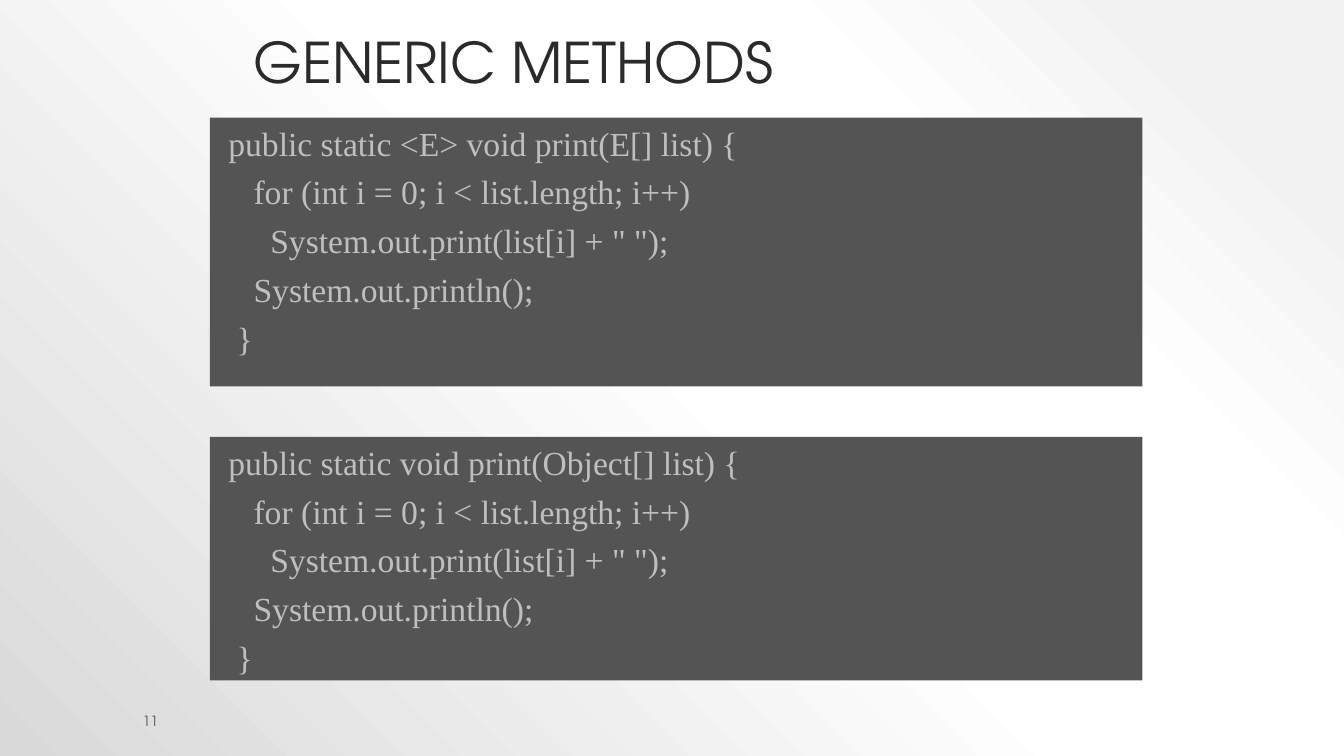
from lxml import etree
from pptx import Presentation
from pptx.dml.color import RGBColor
from pptx.enum.shapes import MSO_SHAPE as Preset
from pptx.enum.text import MSO_ANCHOR as Anchor, PP_ALIGN as Align
from pptx.oxml.ns import qn
from pptx.util import Inches, Pt

COLUMNS, ROWS = 160, 90
COLORS = {"title": "2A2A2A", "panel": "545454", "code": "BFBFBF", "number": "545454"}
BACKDROP = [(10, "F2F2F2"), (28, "FFFFFF"), (48, "FFFFFF"), (100, "D9D9D9")]
DISPLAY, SERIF = "TeX Gyre Adventor", "Times New Roman"
CODE_SIZE = 24
SPACE_WIDTH = CODE_SIZE / 4

LOOP = [
    (4, "for (int i = 0; i < list.length; i++)"),
    (6, 'System.out.print(list[i] + " ");'),
    (4, "System.out.println();"),
    (2, "}"),
]
GENERIC_METHOD = [(1, "public static <E> void print(E[] list) {"), *LOOP]
OBJECT_METHOD = [(1, "public static void print(Object[] list) {"), *LOOP]


def write(paragraph, text, *, font, size, color, before=0, spacing=None, indent=0):
    """Fill one paragraph; before and indent are in points."""
    paragraph.alignment = Align.LEFT
    paragraph.space_before = Pt(before)
    paragraph.line_spacing = spacing
    if indent:
        properties = paragraph._p.get_or_add_pPr()
        properties.set("marL", str(Pt(indent)))
        properties.set("indent", "0")
    run = paragraph.add_run()
    run.text = text
    run.font.name = font
    run.font.size = Pt(size)
    run.font.color.rgb = RGBColor.from_string(COLORS[color])


class CodeSlide:
    def __init__(self, deck):
        self.column = deck.slide_width / COLUMNS
        self.row = deck.slide_height / ROWS
        self.slide = deck.slides.add_slide(deck.slide_layouts[5])

    def area(self, left, top, width, height):
        return (round(left * self.column), round(top * self.row),
                round(width * self.column), round(height * self.row))

    def backdrop(self, stops):
        """Radial gradient centred on the top right corner."""
        self.slide.background.fill.gradient()
        gradient = next(self.slide.element.iter(qn("a:gradFill")))
        for child in list(gradient):
            gradient.remove(child)
        stop_list = etree.SubElement(gradient, qn("a:gsLst"))
        for share, color in stops:
            stop = etree.SubElement(stop_list, qn("a:gs"), pos=str(share * 1000))
            etree.SubElement(stop, qn("a:srgbClr"), val=color)
        circle = etree.SubElement(gradient, qn("a:path"), path="circle")
        etree.SubElement(circle, qn("a:fillToRect"), l="100000", b="100000")

    def title(self, text, *area):
        title = self.slide.shapes.title
        title.left, title.top, title.width, title.height = self.area(*area)
        title.text_frame.vertical_anchor = Anchor.BOTTOM
        write(title.text_frame.paragraphs[0], text,
              font=DISPLAY, size=40, color="title", spacing=0.9)

    def code_panel(self, lines, *area):
        panel = self.slide.shapes.add_shape(Preset.RECTANGLE, *self.area(*area))
        panel.shadow.inherit = False
        panel.fill.solid()
        panel.fill.fore_color.rgb = RGBColor.from_string(COLORS["panel"])
        panel.line.fill.background()
        frame = panel.text_frame
        frame.word_wrap = True
        frame.vertical_anchor = Anchor.TOP
        for index, (spaces, code) in enumerate(lines):
            paragraph = frame.add_paragraph() if index else frame.paragraphs[0]
            write(paragraph, code, font=SERIF, size=CODE_SIZE, color="code",
                  before=6, indent=spaces * SPACE_WIDTH)

    def page_number(self, text, *area):
        frame = self.slide.shapes.add_textbox(*self.area(*area)).text_frame
        frame.word_wrap = True
        frame.vertical_anchor = Anchor.MIDDLE
        write(frame.paragraphs[0], text, font=DISPLAY, size=10, color="number")


def main():
    deck = Presentation()
    deck.slide_width, deck.slide_height = Inches(13.33), Inches(7.5)
    page = CodeSlide(deck)
    page.backdrop(BACKDROP)
    page.title("GENERIC METHODS", 29, 3, 102, 9)
    page.code_panel(GENERIC_METHOD, 25, 14, 111, 32)
    page.code_panel(OBJECT_METHOD, 25, 52, 111, 29)
    page.page_number("11", 15.8, 84.6, 87, 2.4)
    deck.save("out.pptx")


if __name__ == "__main__":
    main()
